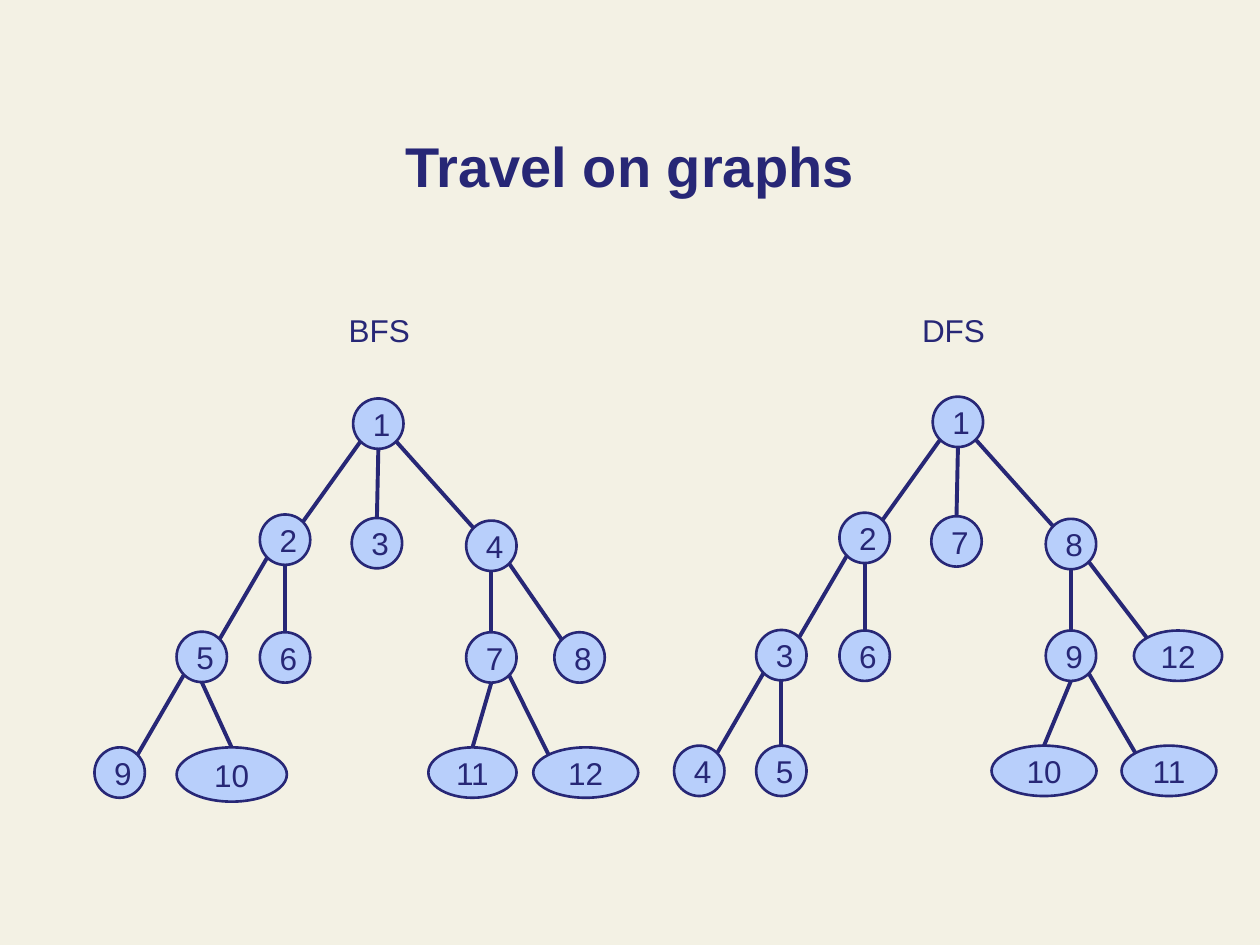
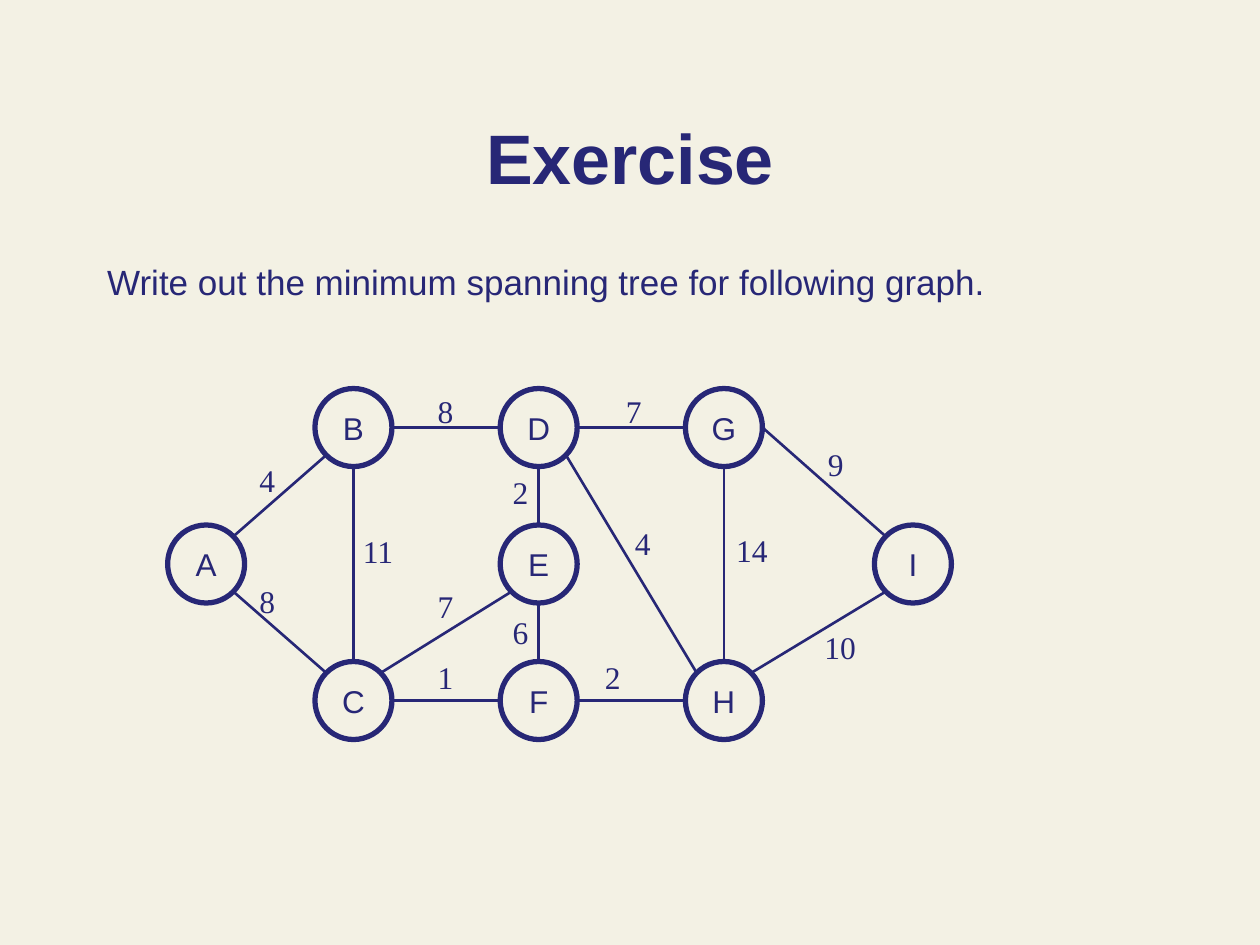
import dataclasses
import math

import lxml.etree
import pptx
import pptx.dml.color
import pptx.enum.shapes
import pptx.enum.text
import pptx.oxml.ns
import pptx.util

Pt = pptx.util.Pt
RGBColor = pptx.dml.color.RGBColor
Anchor = pptx.enum.text.MSO_ANCHOR
Align = pptx.enum.text.PP_ALIGN


@dataclasses.dataclass(frozen=True)
class Theme:
    paper: RGBColor = RGBColor.from_string("F3F1E4")
    ink: RGBColor = RGBColor.from_string("272776")
    node: RGBColor = RGBColor.from_string("B8CFFB")
    font: str = "Arial"
    weight_font: str = "Times New Roman"
    title_sizes: tuple = (32, 40)
    label_size: int = 18
    body_size: int = 20


theme = Theme()

# Points on an ellipse where edges meet it, as angles from the right, clockwise
SITES = {"E": 0, "SE": 45, "S": 90, "SW": 135, "W": 180, "NW": 225, "N": 270, "NE": 315}


def add_node(slide, text, left, top, width, height, fill, line_width):
    node = slide.shapes.add_shape(pptx.enum.shapes.MSO_SHAPE.OVAL,
                                  Pt(left), Pt(top), Pt(width), Pt(height))
    node.shadow.inherit = False
    node.fill.solid()
    node.fill.fore_color.rgb = fill
    node.line.color.rgb = theme.ink
    node.line.width = Pt(line_width)
    node.text_frame.word_wrap = True
    node.text_frame.vertical_anchor = Anchor.MIDDLE
    paragraph = node.text_frame.paragraphs[0]
    paragraph.text = text
    paragraph.alignment = Align.CENTER
    paragraph.font.name = theme.font
    paragraph.font.size = Pt(theme.label_size)
    paragraph.font.color.rgb = theme.ink
    return node


def add_edge(slide, start, start_site, end, end_site, line_width):
    points = []
    for node, site in ((start, start_site), (end, end_site)):
        angle = math.radians(SITES[site])
        points.append(round(node.left + node.width / 2 * (1 + math.cos(angle))))
        points.append(round(node.top + node.height / 2 * (1 + math.sin(angle))))
    edge = slide.shapes.add_connector(pptx.enum.shapes.MSO_CONNECTOR.STRAIGHT, *points)
    edge.line.color.rgb = theme.ink
    edge.line.width = Pt(line_width)
    lxml.etree.SubElement(edge._element.spPr, pptx.oxml.ns.qn("a:effectLst"))


# Presentation and shared background
presentation = pptx.Presentation()
presentation.slide_width = Pt(720)
presentation.slide_height = Pt(540)
background = presentation.slide_master.background.fill
background.solid()
background.fore_color.rgb = theme.paper

# Slides and titles
slides = []
for layout, heading, size in zip((5, 1), ("Travel on graphs", "Exercise"), theme.title_sizes):
    slide = presentation.slides.add_slide(presentation.slide_layouts[layout])
    title = slide.shapes.title
    title.left, title.top, title.width, title.height = Pt(54), Pt(39), Pt(612), Pt(78)
    title.text_frame.auto_size = pptx.enum.text.MSO_AUTO_SIZE.NONE
    title.text_frame.vertical_anchor = Anchor.BOTTOM
    paragraph = title.text_frame.paragraphs[0]
    paragraph.text = heading
    paragraph.alignment = Align.CENTER
    paragraph.font.name = theme.font
    paragraph.font.size = Pt(size)
    paragraph.font.bold = True
    paragraph.font.color.rgb = theme.ink
    slides.append(slide)
travel_slide, exercise_slide = slides

# Travel slide: both trees share their slots (left, top) and edges
NODE_SIZE = 28.8
SLOTS = [(201.8, 227.7),
         (148.5, 294), (201, 296), (266.4, 297.5),
         (100.9, 361), (148.5, 361.3), (266.4, 361.3), (316.8, 361.3),
         (54, 427.1), (100.9, 427.1), (244.8, 427.1), (304.7, 427.1)]
TREE_EDGES = [(0, "S", 2, "N"), (0, "SW", 1, "NE"), (0, "SE", 3, "NW"),
              (1, "S", 5, "N"), (1, "SW", 4, "NE"),
              (4, "S", 9, "N"), (4, "SW", 8, "NE"),
              (3, "S", 6, "N"), (3, "SE", 7, "NW"),
              (6, "S", 10, "N"), (6, "SE", 11, "NW")]

# Visiting order by slot, offset, and wide slots as (left, width, height)
TREES = [
    ([1, 2, 3, 4, 5, 6, 7, 8, 9, 10, 11, 12], 0, 0,
     {9: (100.9, 63, 31), 10: (244.8, 50.4, NODE_SIZE), 11: (304.7, 60, NODE_SIZE)}),
    ([1, 2, 7, 8, 3, 6, 9, 12, 4, 5, 10, 11], 331.2, -1,
     {7: (316.8, 50.4, NODE_SIZE), 10: (235.4, 60, NODE_SIZE), 11: (309.7, 54.2, NODE_SIZE)}),
]
for order, shift_x, shift_y, wide in TREES:
    nodes = []
    for slot, (left, top) in enumerate(SLOTS):
        left, width, height = wide.get(slot, (left, NODE_SIZE, NODE_SIZE))
        nodes.append(add_node(travel_slide, str(order[slot]), left + shift_x, top + shift_y,
                              width, height, theme.node, 1.5))
    for start, start_site, end, end_site in TREE_EDGES:
        add_edge(travel_slide, nodes[start], start_site, nodes[end], end_site, 2.25)

# Exercise slide: task text
body = exercise_slide.placeholders[1]
body.left, body.top, body.width, body.height = Pt(54), Pt(145.5), Pt(612), Pt(329)
body.text_frame.auto_size = pptx.enum.text.MSO_AUTO_SIZE.NONE
paragraph = body.text_frame.paragraphs[0]
paragraph.text = "Write out the minimum spanning tree for following graph."
paragraph.space_before = Pt(0)
paragraph.font.name = theme.font
paragraph.font.size = Pt(theme.body_size)
paragraph.font.color.rgb = theme.ink
properties = paragraph._p.get_or_add_pPr()
properties.set("marL", "0")
properties.set("indent", "0")
# Bullet settings come before the default run properties
bullet = lxml.etree.Element(pptx.oxml.ns.qn("a:buNone"))
properties.find(pptx.oxml.ns.qn("a:defRPr")).addprevious(bullet)

# Weighted graph: vertices on a grid of columns and rows
COLUMNS = [95.8, 180, 285.85, 391.7, 499.7]
ROWS = [222 + 78 * row for row in range(3)]
VERTICES = {"A": (0, 1), "B": (1, 0), "D": (2, 0), "G": (3, 0), "I": (4, 1),
            "E": (2, 1), "C": (1, 2), "F": (2, 2), "H": (3, 2)}
vertices = {name: add_node(exercise_slide, name, COLUMNS[column], ROWS[row],
                           44, 44.6, theme.paper, 3)
            for name, (column, row) in VERTICES.items()}

# Edges with weight and the left and top of the weight label
GRAPH_EDGES = [("D", "W", "B", "E", 8, 243, 220.3), ("A", "NE", "B", "SW", 4, 141.2, 260),
               ("C", "NW", "A", "SE", 8, 141.2, 329), ("F", "W", "C", "E", 1, 243, 372.4),
               ("G", "W", "D", "E", 7, 350.6, 220.3), ("I", "NW", "G", "E", 9, 466, 250.6),
               ("I", "SW", "H", "NE", 10, 464, 355.5), ("H", "W", "F", "E", 2, 338.6, 372.4),
               ("C", "N", "B", "S", 11, 200.2, 300.4), ("H", "N", "G", "S", 14, 413.6, 300.2),
               ("E", "SW", "C", "NE", 7, 243, 332.2), ("H", "NW", "D", "SE", 4, 355.7, 296),
               ("E", "N", "D", "S", 2, 285.8, 266.6), ("F", "N", "E", "S", 6, 285.8, 347)]
labels = [(travel_slide, "BFS", 192.2, 174.2, 50, theme.font),
          (travel_slide, "DFS", 519.8, 174.2, 51, theme.font)]
for start, start_site, end, end_site, weight, left, top in GRAPH_EDGES:
    add_edge(exercise_slide, vertices[start], start_site, vertices[end], end_site, 1.5)
    labels.append((exercise_slide, str(weight), left, top,
                   24 if weight < 10 else 32.4, theme.weight_font))

# Tree names and edge weights
for slide, text, left, top, width, font in labels:
    label = slide.shapes.add_textbox(Pt(left), Pt(top), Pt(width), Pt(28.8))
    label.text_frame.word_wrap = False
    paragraph = label.text_frame.paragraphs[0]
    paragraph.text = text
    paragraph.font.name = font
    paragraph.font.size = Pt(theme.label_size)
    paragraph.font.color.rgb = theme.ink

presentation.save("out.pptx")
